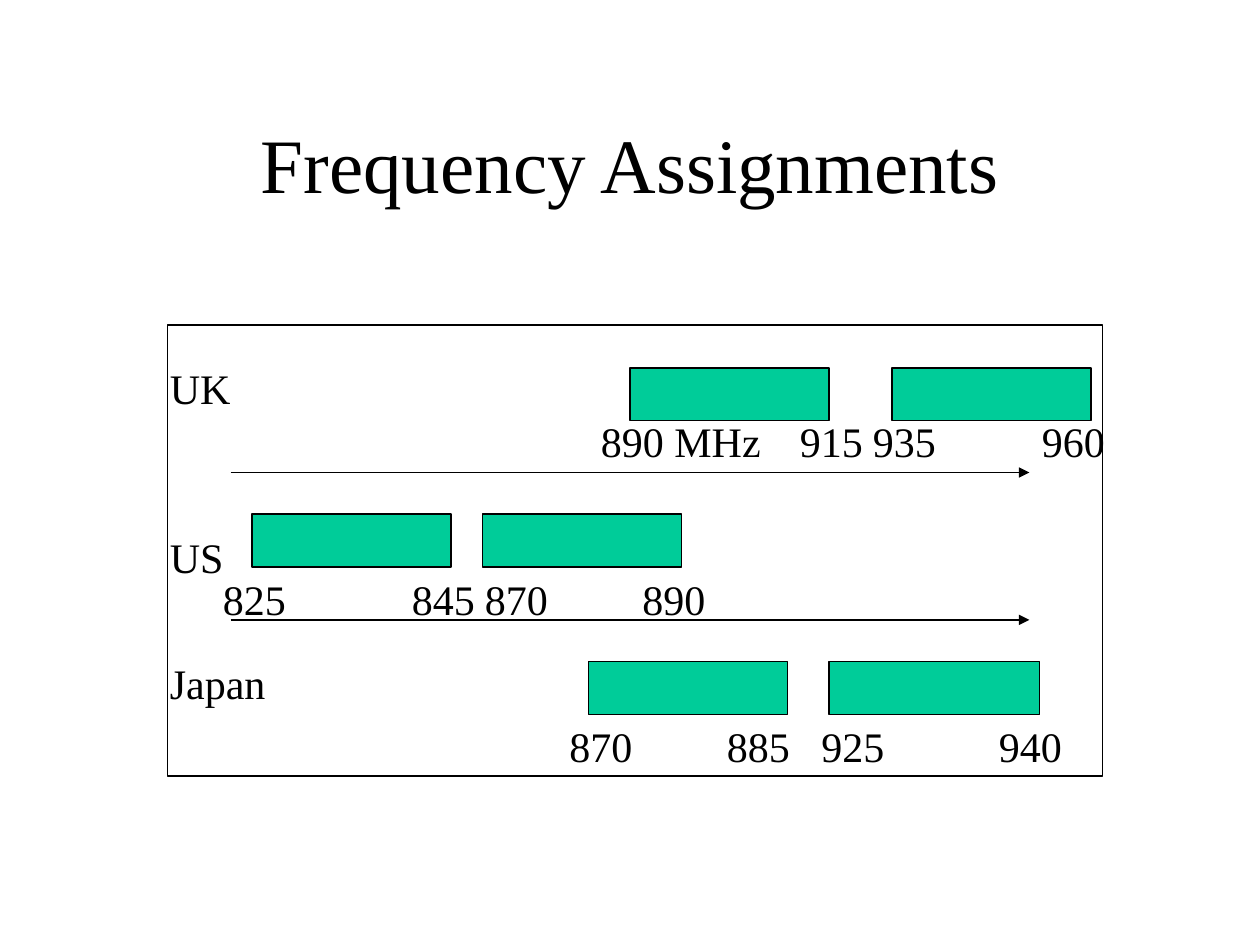
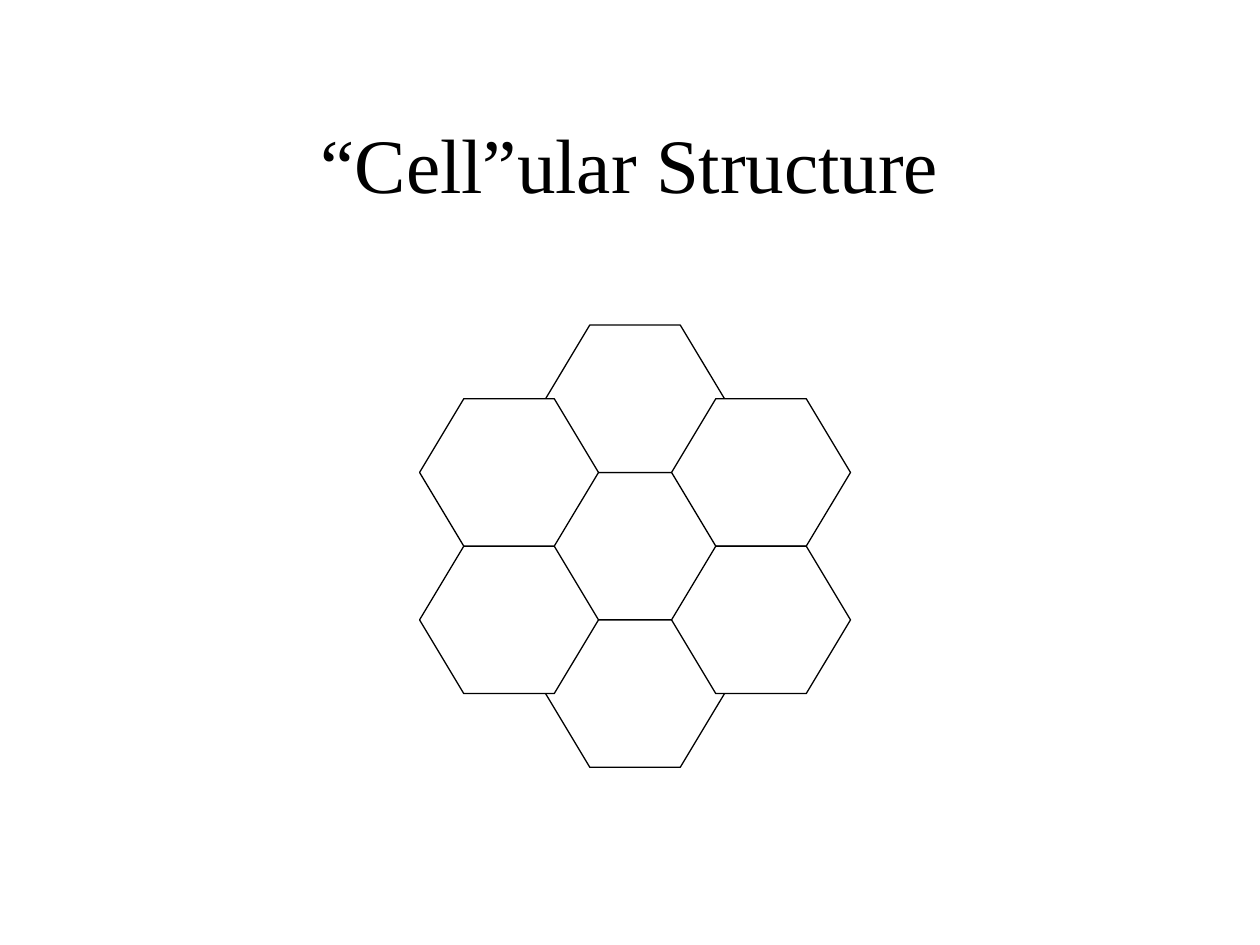
from dataclasses import dataclass

from lxml import etree
from pptx import Presentation
from pptx.dml.color import RGBColor
from pptx.enum.shapes import MSO_CONNECTOR, MSO_SHAPE
from pptx.enum.text import MSO_ANCHOR, MSO_AUTO_SIZE, PP_ALIGN
from pptx.oxml.ns import qn
from pptx.shapes.autoshape import Shape
from pptx.slide import Slide
from pptx.text.text import TextFrame
from pptx.util import Inches, Pt

BLACK = RGBColor(0x00, 0x00, 0x00)
WHITE = RGBColor(0xFF, 0xFF, 0xFF)
GREEN = RGBColor(0x00, 0xCC, 0x99)
FONT = "Times New Roman"
LINE_WIDTH = Pt(0.74)


@dataclass
class Label:
    text: str
    left: float
    width: float = 0.92


@dataclass
class Band:
    left: float
    start: Label
    end: Label
    width: float = 1.58


@dataclass
class Country:
    name: str
    name_top: float
    band_top: float
    label_top: float
    bands: list[Band]


COUNTRIES = [
    Country("UK", 2.83, 2.92, 3.25, [
        Band(5, Label("890 MHz", 4.67, 2.42), Label("915", 6.25)),
        Band(7.08, Label("935", 6.83), Label("960", 8.17)),
    ]),
    Country("US", 4.17, 4.08, 4.5, [
        Band(2, Label("825", 1.67), Label("845", 3.17)),
        Band(3.83, Label("870", 3.75), Label("890", 5)),
    ]),
    Country("Japan", 5.17, 5.25, 5.67, [
        Band(4.67, Label("870", 4.42), Label("885", 5.67)),
        Band(6.58, Label("925", 6.42), Label("940", 7.83), 1.67),
    ]),
]
ARROW_TOPS = [3.75, 4.92]

CELL_WIDTH, CELL_HEIGHT = 1.42, 1.17
CELL_STEP = 1.0
CENTER_LEFT, CENTER_TOP = 4.33, 3.75
CELL_OFFSETS = [(0, 0), (0, 1), (0, -1), (-1, 0.5), (-1, -0.5), (1, -0.5), (1, 0.5)]


def format_text(tf: TextFrame, size: int) -> None:
    for p in tf.paragraphs:
        for r in p.runs:
            r.font.name = FONT
            r.font.size = Pt(size)
            r.font.color.rgb = BLACK


def add_titled_slide(prs: Presentation, title: str) -> Slide:
    s = prs.slides.add_slide(prs.slide_layouts[5])
    s.background.fill.solid()
    s.background.fill.fore_color.rgb = WHITE
    sp = s.shapes.title
    sp.left, sp.top = Inches(0.75), Inches(0.67)
    sp.width, sp.height = Inches(8.5), Inches(1.25)
    tf = sp.text_frame
    tf.text = title
    tf.vertical_anchor = MSO_ANCHOR.MIDDLE
    tf.paragraphs[0].alignment = PP_ALIGN.CENTER
    format_text(tf, 44)
    return s


def add_outlined(s: Slide, kind: MSO_SHAPE, left: float, top: float,
                 width: float, height: float, fill: RGBColor = WHITE) -> Shape:
    sp = s.shapes.add_shape(kind, Inches(left), Inches(top), Inches(width), Inches(height))
    sp.shadow.inherit = False
    sp.fill.solid()
    sp.fill.fore_color.rgb = fill
    sp.line.color.rgb = BLACK
    sp.line.width = LINE_WIDTH
    return sp


def add_label(s: Slide, label: Label, top: float) -> None:
    sp = s.shapes.add_textbox(Inches(label.left), Inches(top), Inches(label.width), Inches(0.5))
    tf = sp.text_frame
    tf.word_wrap = True
    tf.auto_size = MSO_AUTO_SIZE.SHAPE_TO_FIT_TEXT
    tf.text = label.text
    tf.paragraphs[0].space_before = Pt(15)
    format_text(tf, 24)


def add_arrow(s: Slide, top: float) -> None:
    line = s.shapes.add_connector(MSO_CONNECTOR.STRAIGHT, Inches(1.83), Inches(top),
                                  Inches(8.17), Inches(top))
    line.line.color.rgb = BLACK
    line.line.width = LINE_WIDTH
    etree.SubElement(line.line._get_or_add_ln(), qn("a:tailEnd"), type="triangle")
    etree.SubElement(line._element.spPr, qn("a:effectLst"))


def add_country(s: Slide, country: Country) -> None:
    add_label(s, Label(country.name, 1.25, 1.17), country.name_top)
    for band in country.bands:
        add_outlined(s, MSO_SHAPE.RECTANGLE, band.left, country.band_top,
                     band.width, 0.42, GREEN)
    for band in country.bands:
        add_label(s, band.start, country.label_top)
        add_label(s, band.end, country.label_top)


def build_frequencies(prs: Presentation) -> None:
    s = add_titled_slide(prs, "Frequency Assignments")
    add_outlined(s, MSO_SHAPE.RECTANGLE, 1.33, 2.58, 7.42, 3.58)
    for top in ARROW_TOPS:
        add_arrow(s, top)
    for country in COUNTRIES:
        add_country(s, country)


def build_cells(prs: Presentation) -> None:
    s = add_titled_slide(prs, "“Cell”ular Structure")
    for column, row in CELL_OFFSETS:
        sp = add_outlined(s, MSO_SHAPE.HEXAGON, CENTER_LEFT + column * CELL_STEP,
                          CENTER_TOP + row * CELL_HEIGHT, CELL_WIDTH, CELL_HEIGHT)
        sp.adjustments[0] = 0.3


prs = Presentation()
prs.slide_width, prs.slide_height = Inches(10), Inches(7.5)
build_frequencies(prs)
build_cells(prs)
prs.save("out.pptx")
